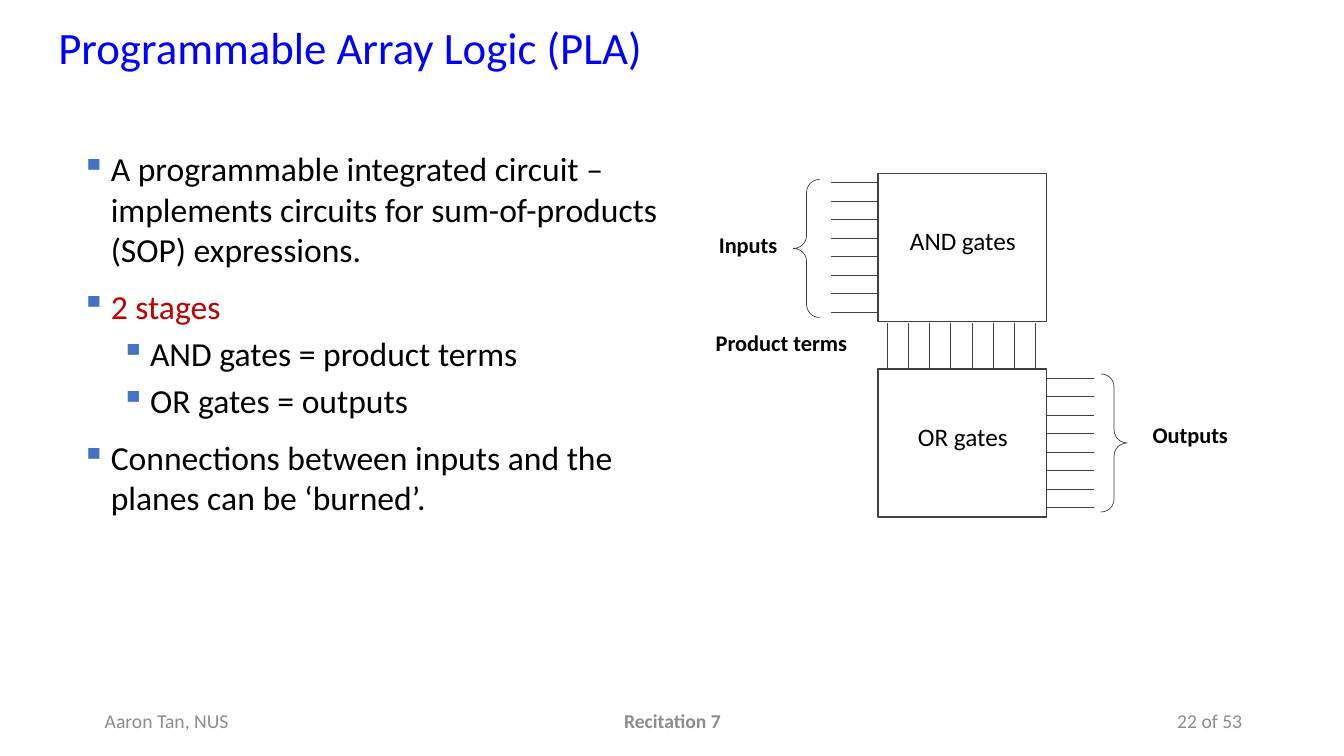
import pptx
import pptx.dml.color
import pptx.enum.shapes
import pptx.enum.text
import pptx.oxml.ns
import pptx.util
from lxml import etree

Inches = pptx.util.Inches
Pt = pptx.util.Pt
Align = pptx.enum.text.PP_ALIGN
Anchor = pptx.enum.text.MSO_ANCHOR
Preset = pptx.enum.shapes.MSO_SHAPE

COLOURS = {
    "paper": "FFFFFF",
    "title": "0000FF",
    "text": "000000",
    "accent": "C00000",
    "bullet": "4472C4",
    "line": "404040",
    "footer": "8C8C8C",
}


def colour(name):
    return pptx.dml.color.RGBColor.from_string(COLOURS[name])


class SlideBuilder:
    font_name = "Calibri"

    def __init__(self, slide):
        self.slide = slide
        self.shapes = slide.shapes

    def start_group(self):
        self.shapes = self.slide.shapes.add_group_shape().shapes

    def end_group(self):
        self.shapes = self.slide.shapes

    def text_frame(self, left, top, width, height, anchor=Anchor.TOP):
        box = self.shapes.add_textbox(Inches(left), Inches(top), Inches(width), Inches(height))
        frame = box.text_frame
        frame.word_wrap = True
        frame.vertical_anchor = anchor
        return frame

    def run(self, paragraph, text, size, ink, bold=False):
        run = paragraph.add_run()
        run.text = text
        run.font.name = self.font_name
        run.font.size = Pt(size)
        run.font.bold = bold
        run.font.color.rgb = colour(ink)

    def text(self, text, area, size, ink="text", align=Align.LEFT, bold=False, anchor=Anchor.TOP):
        paragraph = self.text_frame(*area, anchor).paragraphs[0]
        paragraph.alignment = align
        self.run(paragraph, text, size, ink, bold)

    def bullets(self, items, area, size):
        frame = self.text_frame(*area)
        for index, (text, level, ink, space) in enumerate(items):
            paragraph = frame.paragraphs[0] if index == 0 else frame.add_paragraph()
            paragraph.level = level
            paragraph.space_before = Pt(space)
            properties = paragraph._p.get_or_add_pPr()
            properties.set("marL", str(Inches(0.68 if level else 0.29)))
            properties.set("indent", str(Inches(-0.29)))
            bullet_colour = etree.SubElement(properties, pptx.oxml.ns.qn("a:buClr"))
            etree.SubElement(bullet_colour, pptx.oxml.ns.qn("a:srgbClr"), val=COLOURS["bullet"])
            etree.SubElement(properties, pptx.oxml.ns.qn("a:buChar"), char="▪")
            self.run(paragraph, text, size, ink)

    def shape(self, preset, area, line_width, fill=None):
        shape = self.shapes.add_shape(preset, *(Inches(value) for value in area))
        shape.shadow.inherit = False
        if fill:
            shape.fill.solid()
            shape.fill.fore_color.rgb = colour(fill)
        else:
            shape.fill.background()
        shape.line.color.rgb = colour("line")
        shape.line.width = Pt(line_width)
        return shape

    def gate_block(self, text, left, top):
        self.shape(Preset.RECTANGLE, (left, top, 1.67, 1.47), 1, "paper")
        self.text(text, (left - 0.05, top + 0.47, 1.78, 0.45), 18, align=Align.CENTER)

    def brace(self, preset, left, top):
        brace = self.shape(preset, (left, top, 0.26, 1.37), 0.5)
        brace.adjustments[0] = 0.494
        brace.adjustments[1] = 0.5

    def label(self, text, left, top, width):
        self.text(text, (left, top, width, 0.41), 16, align=Align.CENTER, bold=True)

    def wires(self, start, end, step, count=8):
        for index in range(count):
            shift_x, shift_y = step[0] * index, step[1] * index
            wire = self.shapes.add_connector(
                pptx.enum.shapes.MSO_CONNECTOR.STRAIGHT,
                Inches(start[0] + shift_x), Inches(start[1] + shift_y),
                Inches(end[0] + shift_x), Inches(end[1] + shift_y),
            )
            wire.line.color.rgb = colour("line")
            wire.line.width = Pt(0.5)
            etree.SubElement(wire._element.spPr, pptx.oxml.ns.qn("a:effectLst"))


def main():
    presentation = pptx.Presentation()
    presentation.slide_width = Inches(13.33)
    presentation.slide_height = Inches(7.5)
    slide = presentation.slides.add_slide(presentation.slide_layouts[6])
    builder = SlideBuilder(slide)

    footers = [
        ("Aaron Tan, NUS", 0.94, 3, Align.LEFT, False),
        ("Recitation 7", 4.42, 4.5, Align.CENTER, True),
        ("22 of 53", 9.42, 3, Align.RIGHT, False),
    ]
    for text, left, width, align, bold in footers:
        builder.text(text, (left, 6.95, width, 0.4), 14, "footer", align, bold, Anchor.MIDDLE)

    builder.text("Programmable Array Logic (PLA)", (0.48, 0.15, 7.38, 0.76), 32, "title")
    builder.bullets(
        [
            ("A programmable integrated circuit – implements circuits for "
             "sum-of-products (SOP) expressions.", 0, "text", 0),
            ("2 stages", 0, "accent", 12),
            ("AND gates = product terms", 1, "text", 4.8),
            ("OR gates = outputs", 1, "text", 4.8),
            ("Connections between inputs and the planes can be ‘burned’.", 0, "text", 12),
        ],
        (0.71, 1.42, 6.31, 4.02),
        24,
    )

    builder.start_group()
    builder.gate_block("AND gates", 8.71, 1.72)
    builder.wires((8.24, 1.81), (8.71, 1.81), (0, 0.184))
    builder.brace(Preset.LEFT_BRACE, 7.87, 1.78)
    builder.label("Inputs", 6.87, 2.24, 1.1)

    builder.wires((8.8, 3.66), (8.8, 3.2), (0.21, 0))
    builder.label("Product terms", 6.69, 3.22, 2.12)

    builder.gate_block("OR gates", 8.71, 3.66)
    builder.wires((10.37, 3.75), (10.85, 3.75), (0, 0.184))
    builder.brace(Preset.RIGHT_BRACE, 10.92, 3.71)
    builder.label("Outputs", 11.13, 4.13, 1.35)
    builder.end_group()

    presentation.save("out.pptx")


if __name__ == "__main__":
    main()
